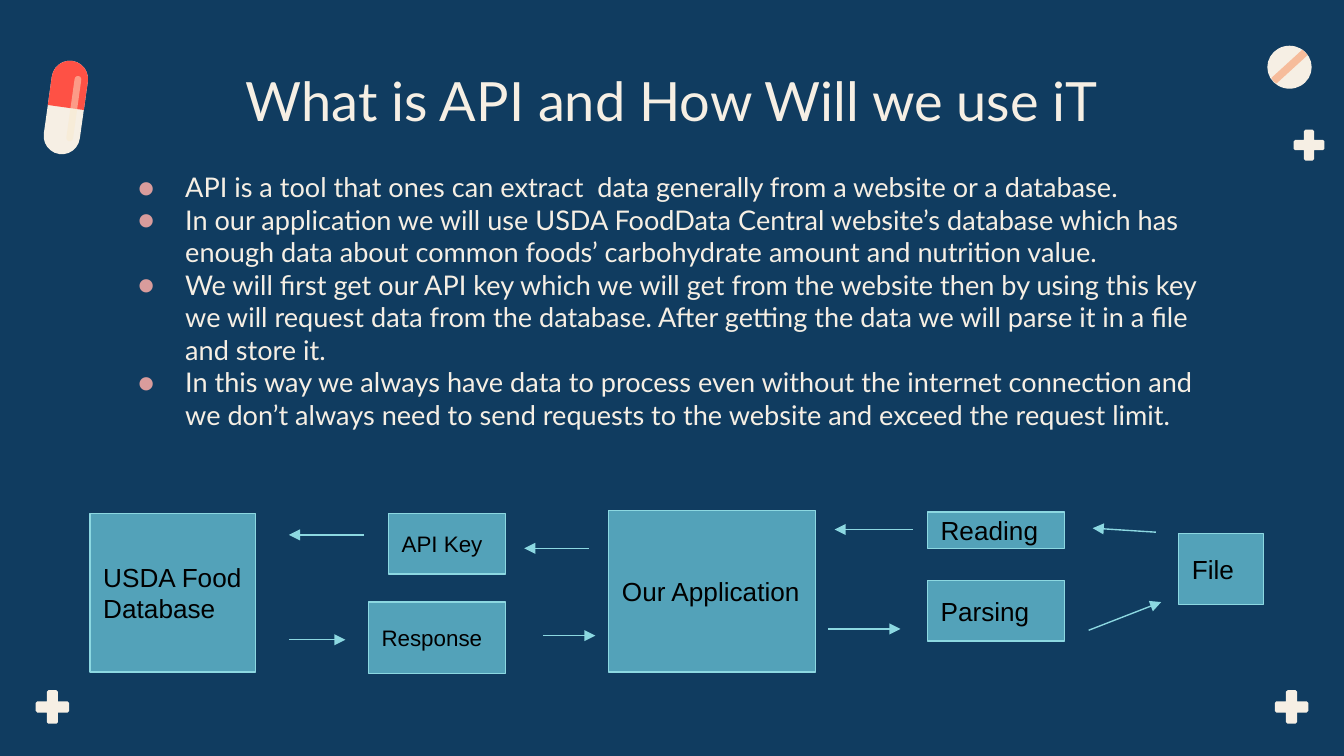
import math

import pptx
import pptx.dml.color
import pptx.enum.shapes
import pptx.enum.text
import pptx.oxml
import pptx.oxml.ns
import pptx.util
from lxml import etree

Inches = pptx.util.Inches
Pt = pptx.util.Pt
SHAPE = pptx.enum.shapes.MSO_SHAPE


class Theme:
    background = "103C60"
    cream = "F6EFE4"
    red = "FE5145"
    stripe = "F6BC9B"
    shine = "FAE9CD"
    bullet = "D99C9C"
    box = "53A2B9"
    edge = "8CD8E1"
    ink = "000000"
    heading_font = "Lato"
    box_font = "Arial"
    title_size = 29
    body_size = 14.5
    edge_width = 0.75


TITLE = "What is API and How Will we use iT"
BULLETS = [
    "API is a tool that ones can extract  data generally from a website or a database.",
    "In our application we will use USDA FoodData Central website’s database which has "
    "enough data about common foods’ carbohydrate amount and nutrition value.",
    "We will first get our API key which we will get from the website then by using this key "
    "we will request data from the database. After getting the data we will parse it in a file "
    "and store it.",
    "In this way we always have data to process even without the internet connection and "
    "we don’t always need to send requests to the website and exceed the request limit.",
]
BOXES = [
    ("USDA Food Database", 14, (0.67, 3.82, 1.23, 1.18)),
    ("API Key", 12, (2.89, 3.82, 0.87, 0.45)),
    ("Response", 12, (2.74, 4.48, 1.02, 0.53)),
    ("Our Application", 14, (4.53, 3.8, 1.54, 1.2)),
    ("Reading", 14, (6.9, 3.81, 1.02, 0.27)),
    ("Parsing", 14, (6.9, 4.32, 1.02, 0.45)),
    ("File", 14, (8.77, 3.97, 0.63, 0.53)),
]
ARROWS = [
    ((4.38, 4.08), (3.9, 4.08)),
    ((2.71, 3.98), (2.15, 3.98)),
    ((2.15, 4.76), (2.57, 4.76)),
    ((4.04, 4.73), (4.43, 4.73)),
    ((6.79, 3.94), (6.21, 3.94)),
    ((6.16, 4.68), (6.7, 4.68)),
    ((8.6, 3.96), (8.13, 3.93)),
    ((8.1, 4.69), (8.64, 4.48)),
]
PLUSES = [(9.74, 1.08, 0.23), (0.39, 5.26, 0.25), (9.61, 5.26, 0.25)]
TABLET_STRIPE = [(9.69, 0.37), (9.46, 0.58), (9.48, 0.61),
                 (9.5, 0.62), (9.73, 0.41), (9.71, 0.39)]
PILL_CENTER, PILL_SIZE, PILL_TILT = (0.49, 0.8), (0.27, 0.7), 8


def rgb(value):
    return pptx.dml.color.RGBColor.from_string(value)


def add_child(parent, tag, **attributes):
    return etree.SubElement(parent, pptx.oxml.ns.qn(tag), **attributes)


def paint(shape, color):
    shape.shadow.inherit = False
    shape.fill.solid()
    shape.fill.fore_color.rgb = rgb(color)
    shape.line.fill.background()
    return shape


def add_preset(s, kind, bounds, color):
    return paint(s.shapes.add_shape(kind, *map(Inches, bounds)), color)


def add_outline(s, points, color):
    corners = [(Inches(x), Inches(y)) for x, y in points]
    builder = s.shapes.build_freeform(*corners[0])
    builder.add_line_segments(corners[1:], close=True)
    return paint(builder.convert_to_shape(), color)


def add_plus(s, cx, cy, size):
    half, arm, cut = size / 2, size / 6, size / 20
    quarter = [(-half, arm - cut), (-half, -arm + cut), (-half + cut, -arm), (-arm, -arm),
               (-arm, -half + cut), (-arm + cut, -half)]
    points = []
    for _ in range(4):
        points += [(cx + x, cy + y) for x, y in quarter]
        quarter = [(-y, x) for x, y in quarter]
    add_outline(s, points, Theme.cream)


def add_tilted(s, kind, offset, size, color):
    angle = math.radians(PILL_TILT)
    dx, dy = offset
    cx = PILL_CENTER[0] + dx * math.cos(angle) - dy * math.sin(angle)
    cy = PILL_CENTER[1] + dx * math.sin(angle) + dy * math.cos(angle)
    width, height = size
    shape = add_preset(s, kind, (cx - width / 2, cy - height / 2, width, height), color)
    shape.adjustments[0] = 0.5
    shape.rotation = PILL_TILT
    return shape


def add_pill(s):
    width, height = PILL_SIZE
    add_tilted(s, SHAPE.ROUNDED_RECTANGLE, (0, 0), PILL_SIZE, Theme.cream)
    add_tilted(s, SHAPE.ROUND_2_SAME_RECTANGLE, (0, -height / 4),
               (width, height / 2), Theme.red)
    shine = add_tilted(s, SHAPE.ROUNDED_RECTANGLE, (0.06, 0), (0.05, 0.49), Theme.shine)
    color = shine._element.spPr.find(".//" + pptx.oxml.ns.qn("a:srgbClr"))
    add_child(color, "a:alpha", val="49000")


def style_text(tf, size, font, color):
    tf.word_wrap = True
    tf.margin_left = tf.margin_right = tf.margin_top = tf.margin_bottom = Inches(0.1)
    for p in tf.paragraphs:
        for r in p.runs:
            r.font.size = Pt(size)
            r.font.name = font
            r.font.color.rgb = rgb(color)


def add_title(s):
    tf = s.shapes.add_textbox(*map(Inches, (0.78, 0.4, 8.44, 0.63))).text_frame
    tf.text = TITLE
    tf.paragraphs[0].alignment = pptx.enum.text.PP_ALIGN.CENTER
    style_text(tf, Theme.title_size, Theme.heading_font, Theme.cream)


def add_body(s):
    tf = s.shapes.add_textbox(*map(Inches, (0.78, 1.17, 8.44, 3.85))).text_frame
    tf.text = "\n".join(BULLETS)
    for p in tf.paragraphs:
        pPr = p._p.get_or_add_pPr()
        pPr.set("marL", str(Inches(0.5)))
        pPr.set("indent", str(Inches(-0.35)))
        add_child(add_child(pPr, "a:buClr"), "a:srgbClr", val=Theme.bullet)
        add_child(pPr, "a:buFont", typeface=Theme.heading_font)
        add_child(pPr, "a:buChar", char="●")
    style_text(tf, Theme.body_size, Theme.heading_font, Theme.cream)


def add_box(s, label, size, bounds):
    box = add_preset(s, SHAPE.RECTANGLE, bounds, Theme.box)
    box.line.color.rgb = rgb(Theme.edge)
    box.line.width = Pt(Theme.edge_width)
    tf = box.text_frame
    tf.text = label
    tf.vertical_anchor = pptx.enum.text.MSO_ANCHOR.MIDDLE
    tf.paragraphs[0].alignment = pptx.enum.text.PP_ALIGN.LEFT
    style_text(tf, size, Theme.box_font, Theme.ink)


def add_arrow(s, start, end):
    straight = pptx.enum.shapes.MSO_CONNECTOR.STRAIGHT
    arrow = s.shapes.add_connector(straight, *map(Inches, start + end))
    arrow.line.color.rgb = rgb(Theme.edge)
    arrow.line.width = Pt(Theme.edge_width)
    add_child(arrow.line._get_or_add_ln(), "a:tailEnd", type="triangle")
    add_child(arrow._element.spPr, "a:effectLst")


def main():
    prs = pptx.Presentation()
    prs.slide_width, prs.slide_height = Inches(10), Inches(5.625)
    s = prs.slides.add_slide(prs.slide_layouts[6])
    s.background.fill.solid()
    s.background.fill.fore_color.rgb = rgb(Theme.background)
    for plus in PLUSES:
        add_plus(s, *plus)
    add_preset(s, SHAPE.OVAL, (9.43, 0.34, 0.33, 0.32), Theme.cream)
    add_outline(s, TABLET_STRIPE, Theme.stripe)
    add_pill(s)
    add_body(s)
    add_title(s)
    for box in BOXES:
        add_box(s, *box)
    for arrow in ARROWS:
        add_arrow(s, *arrow)
    prs.save("out.pptx")


if __name__ == "__main__":
    main()
